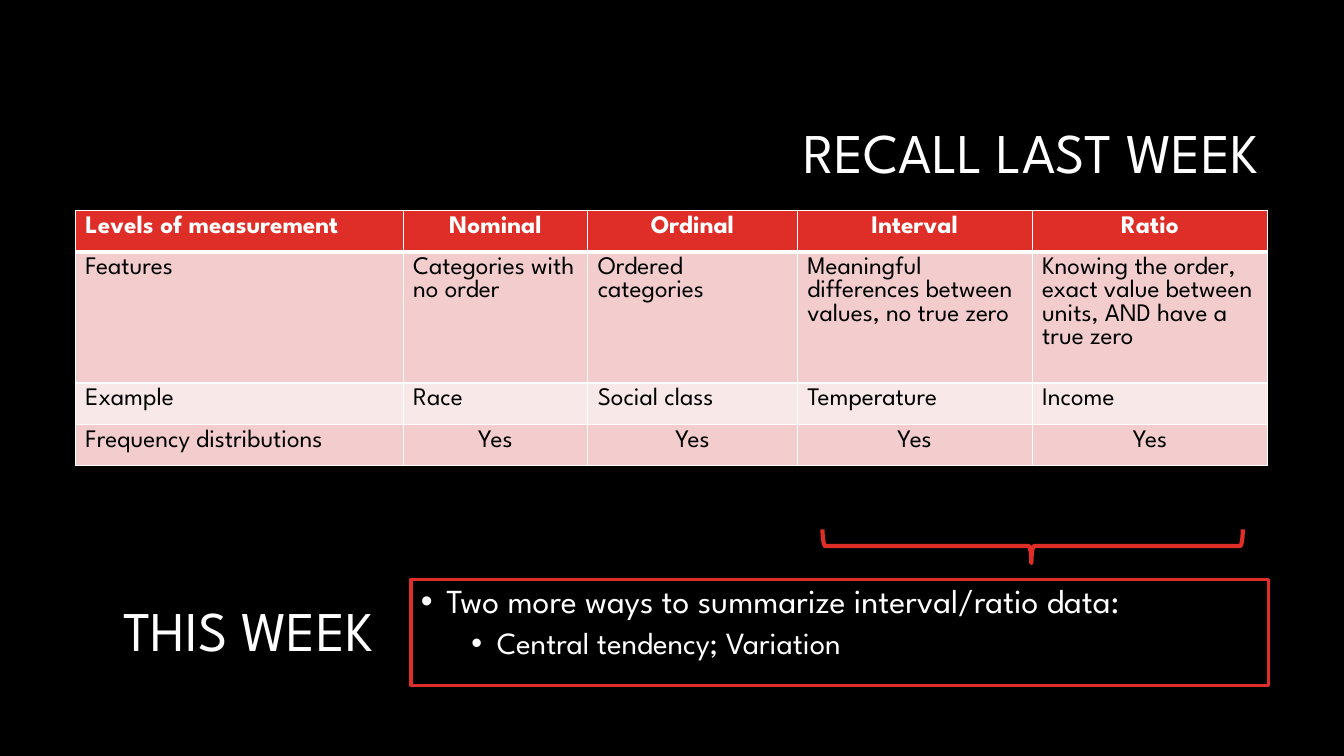
from lxml.etree import SubElement
from pptx import Presentation
from pptx.dml.color import RGBColor
from pptx.enum.shapes import MSO_SHAPE
from pptx.enum.text import MSO_ANCHOR, PP_ALIGN
from pptx.oxml.ns import qn
from pptx.util import Cm, Pt

BLACK = RGBColor(0x00, 0x00, 0x00)
WHITE = RGBColor(0xFF, 0xFF, 0xFF)
RED = RGBColor(0xDF, 0x2E, 0x28)
PINK = RGBColor(0xF3, 0xCD, 0xCD)
PALE_PINK = RGBColor(0xF9, 0xE8, 0xE8)

FONT = "League Spartan"
LEVELS = [
    ["Levels of measurement", "Nominal", "Ordinal", "Interval", "Ratio"],
    ["Features", "Categories with no order", "Ordered categories",
     "Meaningful differences between values, no true zero",
     "Knowing the order, exact value between units, AND have a true zero"],
    ["Example", "Race", "Social class", "Temperature", "Income"],
    ["Frequency distributions", "Yes", "Yes", "Yes", "Yes"],
]
COLUMN_WIDTHS = [8.26, 4.65, 5.28, 5.92, 5.94]
ROW_HEIGHTS = [1.04, 2.59, 1.04, 1.04]
ROW_FILLS = [RED, PINK, PALE_PINK, PINK]
CENTRED_ROWS = (0, 3)
THIS_WEEK_POINTS = [
    # text, level, left margin (cm), space before (pt), size (pt)
    ("Two more ways to summarize interval/ratio data:", 0, 0.64, 0, 24),
    ("Central tendency; Variation", 1, 1.91, 5, 22),
]


def centimetres(box):
    return [Cm(length) for length in box]


def format_paragraph(paragraph, size, color, bold=False, **layout):
    for name, value in layout.items():
        setattr(paragraph, name, value)
    font_format = {"name": FONT, "size": Pt(size), "bold": bold}
    for name, value in font_format.items():
        setattr(paragraph.font, name, value)
    paragraph.font.color.rgb = color


def add_heading(slide, box, text):
    frame = slide.shapes.add_textbox(*centimetres(box)).text_frame
    frame.word_wrap = True
    frame.vertical_anchor = MSO_ANCHOR.MIDDLE
    paragraph = frame.paragraphs[0]
    paragraph.text = text
    format_paragraph(paragraph, 40, WHITE, alignment=PP_ALIGN.RIGHT, line_spacing=0.9)


def set_borders(cell, top, bottom):
    """Draw white cell borders; top and bottom are widths in points."""
    properties = cell._tc.get_or_add_tcPr()
    widths = {"a:lnL": 1, "a:lnR": 1, "a:lnT": top, "a:lnB": bottom}
    for position, (tag, width) in enumerate(widths.items()):
        line = SubElement(properties, qn(tag), w=str(Pt(width)))
        fill = SubElement(line, qn("a:solidFill"))
        SubElement(fill, qn("a:srgbClr"), val=str(WHITE))
        properties.insert(position, line)


def add_levels_table(slide, box):
    table = slide.shapes.add_table(
        len(LEVELS), len(COLUMN_WIDTHS), *centimetres(box)).table
    for column, width in zip(table.columns, COLUMN_WIDTHS):
        column.width = Cm(width)
    for row_index, texts in enumerate(LEVELS):
        table.rows[row_index].height = Cm(ROW_HEIGHTS[row_index])
        is_header = row_index == 0
        for column_index, text in enumerate(texts):
            cell = table.cell(row_index, column_index)
            cell.text = text
            cell.fill.solid()
            cell.fill.fore_color.rgb = ROW_FILLS[row_index]
            set_borders(cell, top=3 if row_index == 1 else 1,
                        bottom=3 if is_header else 1)
            centred = row_index in CENTRED_ROWS and column_index > 0
            format_paragraph(
                cell.text_frame.paragraphs[0], 18,
                WHITE if is_header else BLACK, bold=is_header,
                alignment=PP_ALIGN.CENTER if centred else PP_ALIGN.LEFT)


def add_outline(slide, preset, box, width):
    shape = slide.shapes.add_shape(preset, *centimetres(box))
    shape.shadow.inherit = False
    shape.fill.background()
    shape.line.color.rgb = RED
    shape.line.width = Pt(width)
    return shape


def add_interval_ratio_brace(slide, box):
    """Draw a brace that opens upwards and fills the box."""
    left, top, width, height = box
    upright_box = (left + (width - height) / 2, top + (height - width) / 2,
                   height, width)
    brace = add_outline(slide, MSO_SHAPE.LEFT_BRACE, upright_box, 3)
    brace.rotation = 270
    brace.adjustments[0] = 0.083
    brace.adjustments[1] = 0.497


def add_this_week_box(slide, box):
    frame = add_outline(slide, MSO_SHAPE.RECTANGLE, box, 2.25).text_frame
    frame.word_wrap = True
    frame.vertical_anchor = MSO_ANCHOR.TOP
    for index, (text, level, margin, space, size) in enumerate(THIS_WEEK_POINTS):
        paragraph = frame.paragraphs[0] if index == 0 else frame.add_paragraph()
        paragraph.text = text
        properties = paragraph._p.get_or_add_pPr()
        properties.set("marL", str(Cm(margin)))
        properties.set("indent", str(Cm(-0.64)))
        SubElement(properties, qn("a:buFont"), typeface="Arial")
        SubElement(properties, qn("a:buChar"), char="•")
        format_paragraph(paragraph, size, WHITE, level=level, line_spacing=0.9,
                         space_before=Pt(space), alignment=PP_ALIGN.LEFT)


def main():
    presentation = Presentation()
    presentation.slide_width = Cm(33.87)
    presentation.slide_height = Cm(19.05)
    slide = presentation.slides.add_slide(presentation.slide_layouts[6])
    slide.background.fill.solid()
    slide.background.fill.fore_color.rgb = BLACK

    add_heading(slide, (5.92, 2.13, 26.04, 3.58), "RECALL LAST WEEK")
    add_levels_table(slide, (1.9, 5.31, sum(COLUMN_WIDTHS), sum(ROW_HEIGHTS)))
    add_interval_ratio_brace(slide, (20.73, 13.34, 10.59, 0.84))
    add_this_week_box(slide, (10.36, 14.6, 21.6, 2.67))
    add_heading(slide, (2.24, 14.17, 7.42, 3.58), "THIS WEEK")
    presentation.save("out.pptx")


if __name__ == "__main__":
    main()
